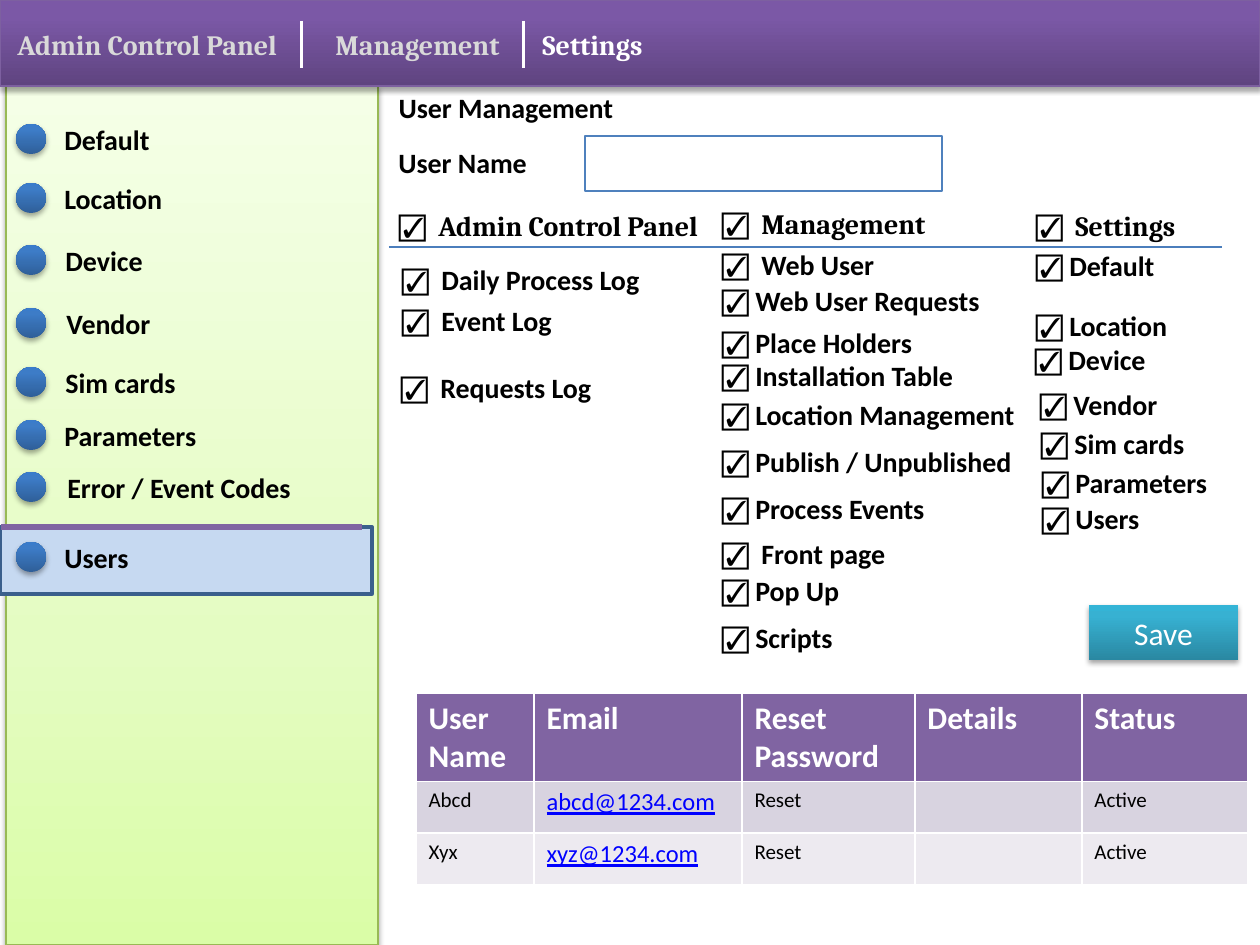
"""Build the user management settings slide of an admin panel."""
from lxml.etree import SubElement
from pptx import Presentation
from pptx.dml.color import RGBColor
from pptx.enum.shapes import MSO_CONNECTOR, MSO_SHAPE
from pptx.enum.text import MSO_ANCHOR, PP_ALIGN
from pptx.oxml.ns import qn
from pptx.util import Pt

PIXEL = 7257
color = RGBColor.from_string
PURPLE = [(0, "5F4480"), (80, "7B58A6"), (100, "7C57A8")]
BLUE = [(0, "2F5F99"), (80, "3D7CC7"), (100, "3A7CCB")]
TEAL = [(0, "2A88A2"), (80, "37B1D2"), (100, "34B4D6")]
GREEN = [(0, "DAFDA7"), (35, "E4FCC2"), (100, "F5FFE7")]

presentation = Presentation()
presentation.slide_width = 1260 * PIXEL
presentation.slide_height = 945 * PIXEL
slide = presentation.slides.add_slide(presentation.slide_layouts[5])
shapes = slide.shapes


def add_box(kind, left, top, width, height, stops=None, fill=None, line=None, line_width=0.75):
    """Add a shape with a plain, shaded or empty fill; shaded ones cast a shadow."""
    shape = shapes.add_shape(kind, *(n * PIXEL for n in (left, top, width, height)))
    shape.shadow.inherit = False
    if line:
        shape.line.color.rgb = color(line)
        shape.line.width = Pt(line_width)
    else:
        shape.line.fill.background()
    if stops:
        shape.fill.gradient()
        shape.fill.gradient_angle = 90
        properties = shape._element.spPr
        stop_list = properties.find(".//" + qn("a:gsLst"))
        stop_list.clear()
        for position, value in stops:
            stop = SubElement(stop_list, qn("a:gs"), pos=str(position * 1000))
            SubElement(stop, qn("a:srgbClr"), val=value)
        effects = properties.find(qn("a:effectLst"))
        shadow = SubElement(effects, qn("a:outerShdw"), blurRad="39370", dist="22860",
                            dir="5400000", rotWithShape="0")
        shade = SubElement(shadow, qn("a:srgbClr"), val="000000")
        SubElement(shade, qn("a:alpha"), val="35000")
    elif fill:
        shape.fill.solid()
        shape.fill.fore_color.rgb = color(fill)
    else:
        shape.fill.background()
    return shape


def add_label(text, left, top, width, height=47, font="Calibri", value="000000", tab=0):
    """Add a bold label, with a check mark before it if a tab position is given."""
    box = shapes.add_textbox(*(n * PIXEL for n in (left, top, width, height)))
    box.text_frame.word_wrap = True
    paragraph = box.text_frame.paragraphs[0]
    if tab:
        tabs = SubElement(paragraph._p.get_or_add_pPr(), qn("a:tabLst"))
        SubElement(tabs, qn("a:tab"), pos=str(tab * PIXEL), algn="l")
        mark = paragraph.add_run()
        mark.text = "☑\t"
        mark.font.name = "Cambria"
    run = paragraph.add_run()
    run.text = text
    run.font.name = font
    paragraph.font.size = Pt(16)
    paragraph.font.bold = True
    paragraph.font.color.rgb = color(value)


title = shapes.title
title.left, title.top, title.width, title.height = (n * PIXEL for n in (386, 84, 253, 47))
title.text_frame.text = "User Management"
title.text_frame.vertical_anchor = MSO_ANCHOR.TOP
paragraph = title.text_frame.paragraphs[0]
paragraph.alignment = PP_ALIGN.LEFT
paragraph.font.size = Pt(16)
paragraph.font.bold = True
paragraph.font.name = "Calibri"
paragraph.font.color.rgb = color("000000")

add_box(MSO_SHAPE.RECTANGLE, 6, 86, 372, 859, GREEN, line="98B955")
add_box(MSO_SHAPE.RECTANGLE, 0, 527, 372, 67, fill="C6D9F1", line="3A5F8C", line_width=2)
add_box(MSO_SHAPE.RECTANGLE, 0, 0, 1260, 86, PURPLE, line="7D60A0")

for text, left, width, value in [
    ("Admin Control Panel", 5, 318, "D9D9D9"),
    ("Management", 323, 198, "D9D9D9"),
    ("Settings", 530, 198, "FFFFFF"),
]:
    add_label(text, left, 21, width, font="Cambria", value=value)

for text, left, top in [
    ("Default", 52, 116), ("Location", 52, 175), ("Device", 53, 237), ("Vendor", 54, 300),
    ("Sim cards", 53, 359), ("Parameters", 52, 412), ("Error / Event Codes", 55, 464),
    ("Users", 52, 534),
]:
    add_box(MSO_SHAPE.OVAL, 16, top + 8, 30, 30, BLUE)
    add_label(text, left, top, 307)

for x1, y1, x2, y2, value, width in [
    (302, 21, 302, 68, "FFFFFF", 1.75),
    (524, 21, 524, 68, "FFFFFF", 1.75),
    (1, 527, 362, 527, "8064A2", 3),
    (389, 247, 1222, 247, "4B7EBC", 0.75),
]:
    rule = shapes.add_connector(MSO_CONNECTOR.STRAIGHT, *(n * PIXEL for n in (x1, y1, x2, y2)))
    rule.line.color.rgb = color(value)
    rule.line.width = Pt(width)
    SubElement(rule._element.spPr, qn("a:effectLst"))

add_label("User Name", 386, 139, 189)
add_box(MSO_SHAPE.RECTANGLE, 585, 136, 357, 55, line="4F81BD")

for text, left, top, width in [
    ("Admin Control Panel", 386, 202, 338),
    ("Management", 709, 200, 253),
    ("Settings", 1023, 202, 198),
]:
    add_label(text, left, top, width, font="Cambria", tab=40)

admin_checks = [("Daily Process Log", 389, 256, 40), ("Event Log", 389, 297, 40),
                ("Requests Log", 388, 364, 40)]
management_checks = [
    ("Web User", 709, 241, 40), ("Web User Requests", 709, 277, 34),
    ("Place Holders", 709, 319, 34), ("Installation Table", 709, 352, 34),
    ("Location Management", 709, 391, 34), ("Publish / Unpublished", 709, 438, 34),
    ("Process Events", 709, 485, 34), ("Front page", 709, 530, 40),
    ("Pop Up", 709, 567, 34), ("Scripts", 709, 614, 34),
]
settings_checks = [
    ("Default", 1023, 242, 34), ("Location", 1023, 302, 34), ("Device", 1022, 336, 34),
    ("Vendor", 1027, 381, 34), ("Sim cards", 1028, 420, 34), ("Parameters", 1029, 459, 34),
    ("Users", 1029, 495, 34),
]
for checks, width, height in [(admin_checks, 307, 47), (management_checks, 340, 83),
                              (settings_checks, 230, 47)]:
    for text, left, top, tab in checks:
        add_label(text, left, top, width, height, tab=tab)

save_button = add_box(MSO_SHAPE.RECTANGLE, 1089, 605, 149, 55, TEAL)
save_button.text_frame.text = "Save"
paragraph = save_button.text_frame.paragraphs[0]
paragraph.alignment = PP_ALIGN.CENTER
paragraph.font.size = Pt(18)
paragraph.font.name = "Calibri"
paragraph.font.color.rgb = color("FFFFFF")

user_rows = [
    ["User Name", "Email", "Reset Password", "Details", "Status"],
    ["Abcd", "abcd@1234.com", "Reset", "", "Active"],
    ["Xyx", "xyz@1234.com", "Reset", "", "Active"],
]
frame = shapes.add_table(3, 5, *(n * PIXEL for n in (416, 693, 832, 190)))
table = frame.table
style = table._tbl.tblPr.find(qn("a:tableStyleId"))
style.text = "{00A15C55-8517-42AA-B614-E9B94910E393}"
for column, width in zip(table.columns, (118, 208, 173, 167, 166)):
    column.width = width * PIXEL
for row, height in zip(table.rows, (86, 52, 52)):
    row.height = height * PIXEL
for row_index, texts in enumerate(user_rows):
    for column_index, text in enumerate(texts):
        cell = table.cell(row_index, column_index)
        cell.fill.solid()
        cell.fill.fore_color.rgb = color(("8064A2", "D8D3E0", "EDEAF0")[row_index])
        cell.text = text
        font = cell.text_frame.paragraphs[0].font
        font.name = "Calibri"
        if row_index == 0:
            size, value = 18, "FFFFFF"
        elif column_index == 1:
            size, value = 14, "0000FF"
            font.underline = True
        else:
            size, value = 12, "000000"
        font.size = Pt(size)
        font.bold = row_index == 0
        font.color.rgb = color(value)

presentation.save("out.pptx")
